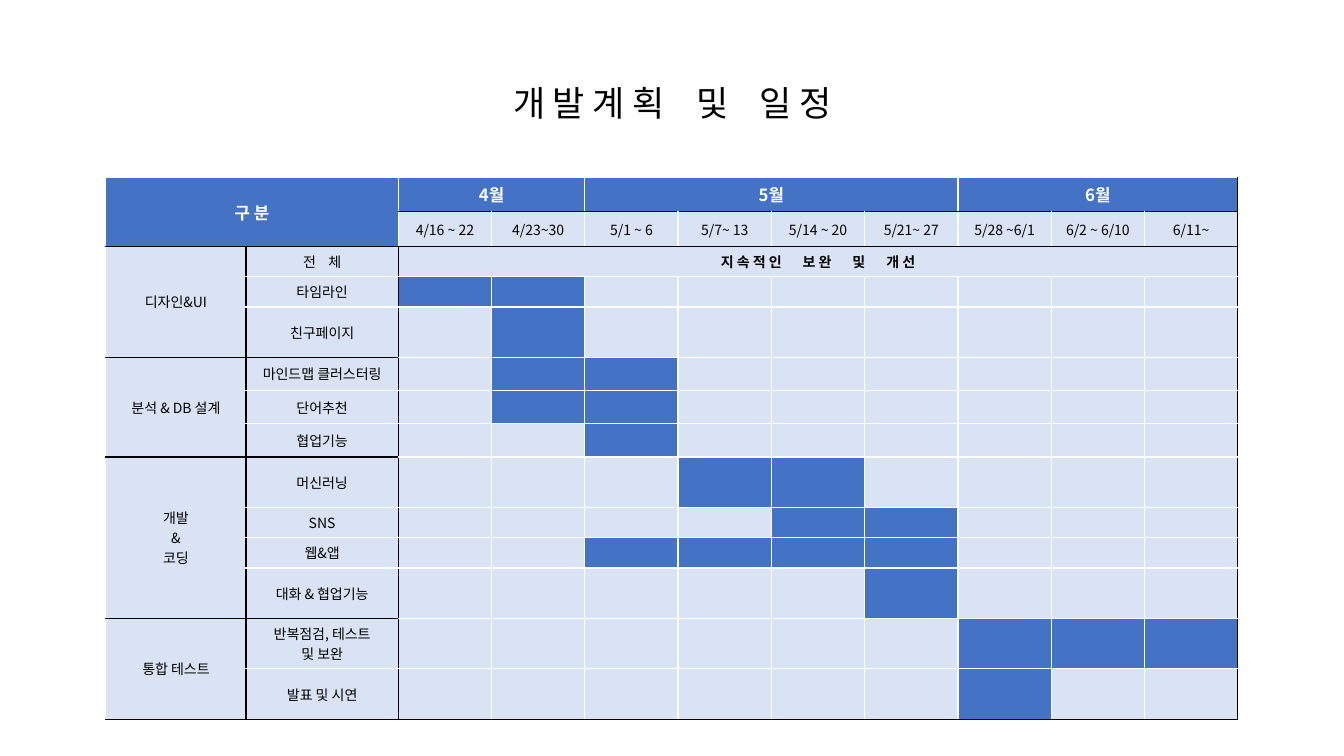
"""Build a project plan slide: a title above a weekly schedule table."""
from lxml import etree
from pptx import Presentation
from pptx.dml.color import RGBColor
from pptx.enum.text import MSO_ANCHOR, PP_ALIGN
from pptx.oxml.ns import qn
from pptx.util import Inches, Pt

CENTER = PP_ALIGN.CENTER
MIDDLE = MSO_ANCHOR.MIDDLE

BLUE = RGBColor(0x44, 0x72, 0xC4)
PALE = RGBColor(0xDA, 0xE3, 0xF3)
WHITE = RGBColor(0xFF, 0xFF, 0xFF)
BLACK = RGBColor(0, 0, 0)

FONT = "Noto Sans CJK KR"
TITLE_FORMAT = {"name": FONT, "size": Pt(25), "bold": False}
HEADER_FORMAT = {"name": FONT, "size": Pt(12), "bold": True}
BODY_FORMAT = {"name": FONT, "size": Pt(10), "bold": False}
ONGOING_FORMAT = BODY_FORMAT | {"bold": True}

SLIDE_WIDTH, SLIDE_HEIGHT = 13.33, 7.5
TABLE_LEFT, TABLE_TOP, TABLE_WIDTH = 1.05, 1.76, 11.23
GROUP_WIDTH, TASK_WIDTH = 1.39, 1.51
HEADER_HEIGHT = 0.34
HEADER_ROWS, LABEL_COLS = 2, 2

MONTHS = [("4월", 2), ("5월", 4), ("6월", 3)]
WEEKS = ["4/16 ~ 22", "4/23~30", "5/1 ~ 6", "5/7~ 13", "5/14 ~ 20",
         "5/21~ 27", "5/28 ~6/1", "6/2 ~ 6/10", "6/11~"]
ONGOING = "지 속 적 인|보 완|및|개 선"
SCHEDULE = [
    ("디자인&UI", [
        ("전|체", 0.3, []),
        ("타임라인", 0.3, [0, 1]),
        ("친구페이지", 0.5, [1])]),
    ("분석 & DB 설계", [
        ("마인드맵 클러스터링", 0.33, [1, 2]),
        ("단어추천", 0.33, [1, 2]),
        ("협업기능", 0.33, [2])]),
    ("개발\n&\n코딩", [
        ("머신러닝", 0.5, [3, 4]),
        ("SNS", 0.3, [4, 5]),
        ("웹&앱", 0.3, [2, 3, 4, 5]),
        ("대화 & 협업기능", 0.5, [5])]),
    ("통합 테스트", [
        ("반복점검, 테스트\n및 보완", 0.5, [6, 7, 8]),
        ("발표 및 시연", 0.5, [6])]),
]
TASKS = [task for _, tasks in SCHEDULE for task in tasks]
ROW_COUNT = HEADER_ROWS + len(TASKS)
COL_COUNT = LABEL_COLS + len(WEEKS)
GROUP_STARTS = [HEADER_ROWS + sum(len(tasks) for _, tasks in SCHEDULE[:n])
                for n in range(len(SCHEDULE))]


def add_run(paragraph, text, style, color, spacing=0):
    """Add formatted text, with optional extra letter spacing in ems."""
    run = paragraph.add_run()
    run.text = text
    for attribute, value in style.items():
        setattr(run.font, attribute, value)
    run.font.color.rgb = color
    properties = run._r.get_or_add_rPr()
    etree.SubElement(properties, qn("a:ea"), typeface=FONT)
    if spacing:
        properties.set("spc", str(round(spacing * style["size"].pt * 100)))


def write(frame, text, style, color=BLACK, gap=0.67):
    """Write centred lines; a bar in the text marks a wide gap."""
    for number, line in enumerate(text.split("\n")):
        paragraph = frame.add_paragraph() if number else frame.paragraphs[0]
        paragraph.alignment = CENTER
        for position, phrase in enumerate(line.split("|")):
            if position:
                add_run(paragraph, " ", style, color, gap)
            add_run(paragraph, phrase, style, color)


def row_line_color(line, col):
    """Return the colour of a horizontal grid line at a column."""
    under_months = line == 1 and col >= LABEL_COLS
    group_edge = line in GROUP_STARTS and col < LABEL_COLS
    dark = under_months or group_edge or line in (HEADER_ROWS, ROW_COUNT)
    return BLACK if dark else WHITE


def col_line_color(line, row):
    """Return the colour of a vertical grid line at a row."""
    label_edge = row >= HEADER_ROWS and line in (1, LABEL_COLS)
    return BLACK if label_edge or line == COL_COUNT else WHITE


def style_cell(cell, row, col, fill):
    """Draw the four borders and the fill of a cell."""
    borders = {
        "a:lnL": col_line_color(col, row),
        "a:lnR": col_line_color(col + cell.span_width, row),
        "a:lnT": row_line_color(row, col),
        "a:lnB": row_line_color(row + cell.span_height, col),
    }
    properties = cell._tc.get_or_add_tcPr()
    for tag, color in borders.items():
        border = etree.SubElement(properties, qn(tag), w=str(Pt(1)))
        paint = etree.SubElement(border, qn("a:solidFill"))
        etree.SubElement(paint, qn("a:srgbClr"), val=str(color))
    cell.fill.solid()
    cell.fill.fore_color.rgb = fill
    cell.vertical_anchor = MIDDLE
    if not cell.text_frame.text:
        etree.SubElement(cell.text_frame.paragraphs[0]._p,
                         qn("a:endParaRPr"), sz="1000")


def is_blue(row, col):
    """Tell whether a cell is a header or a scheduled week."""
    if row < HEADER_ROWS:
        return row == 0 or col < LABEL_COLS
    return col - LABEL_COLS in TASKS[row - HEADER_ROWS][2]


def fill_headers(table):
    """Write the month and week headings."""
    table.cell(0, 0).merge(table.cell(1, 1))
    write(table.cell(0, 0).text_frame, "구 분", HEADER_FORMAT, WHITE)
    col = LABEL_COLS
    for month, span in MONTHS:
        table.cell(0, col).merge(table.cell(0, col + span - 1))
        write(table.cell(0, col).text_frame, month, HEADER_FORMAT, WHITE)
        col += span
    for col, week in enumerate(WEEKS, LABEL_COLS):
        write(table.cell(1, col).text_frame, week, BODY_FORMAT)


def fill_tasks(table):
    """Write the groups, their tasks and the ongoing work."""
    for start, (group, tasks) in zip(GROUP_STARTS, SCHEDULE):
        table.cell(start, 0).merge(table.cell(start + len(tasks) - 1, 0))
        write(table.cell(start, 0).text_frame, group, BODY_FORMAT)
    for row, (task, _, _) in enumerate(TASKS, HEADER_ROWS):
        write(table.cell(row, 1).text_frame, task, BODY_FORMAT)
    ongoing = table.cell(HEADER_ROWS, LABEL_COLS)
    ongoing.merge(table.cell(HEADER_ROWS, COL_COUNT - 1))
    write(ongoing.text_frame, ONGOING, ONGOING_FORMAT, gap=1.27)


def add_schedule(slide):
    """Add the schedule table."""
    week_width = (TABLE_WIDTH - GROUP_WIDTH - TASK_WIDTH) / len(WEEKS)
    widths = [GROUP_WIDTH, TASK_WIDTH] + [week_width] * len(WEEKS)
    heights = [HEADER_HEIGHT] * HEADER_ROWS + [task[1] for task in TASKS]
    table = slide.shapes.add_table(
        ROW_COUNT, COL_COUNT, Inches(TABLE_LEFT), Inches(TABLE_TOP),
        Inches(TABLE_WIDTH), Inches(sum(heights))).table
    table.first_row = table.horz_banding = False
    for column, width in zip(table.columns, widths):
        column.width = Inches(width)
    for row, height in zip(table.rows, heights):
        row.height = Inches(height)
    fill_headers(table)
    fill_tasks(table)
    for row in range(ROW_COUNT):
        for col in range(COL_COUNT):
            fill = BLUE if is_blue(row, col) else PALE
            style_cell(table.cell(row, col), row, col, fill)


def add_title(slide):
    """Add the slide title."""
    title = slide.shapes.add_textbox(
        Inches(3.45), Inches(0.76), Inches(6.44), Inches(0.52)).text_frame
    title.word_wrap = True
    write(title, "개 발 계 획|및|일 정", TITLE_FORMAT)


def main():
    """Build and save the presentation."""
    deck = Presentation()
    deck.slide_width = Inches(SLIDE_WIDTH)
    deck.slide_height = Inches(SLIDE_HEIGHT)
    slide = deck.slides.add_slide(deck.slide_layouts[6])
    add_schedule(slide)
    add_title(slide)
    deck.save("out.pptx")


if __name__ == "__main__":
    main()
